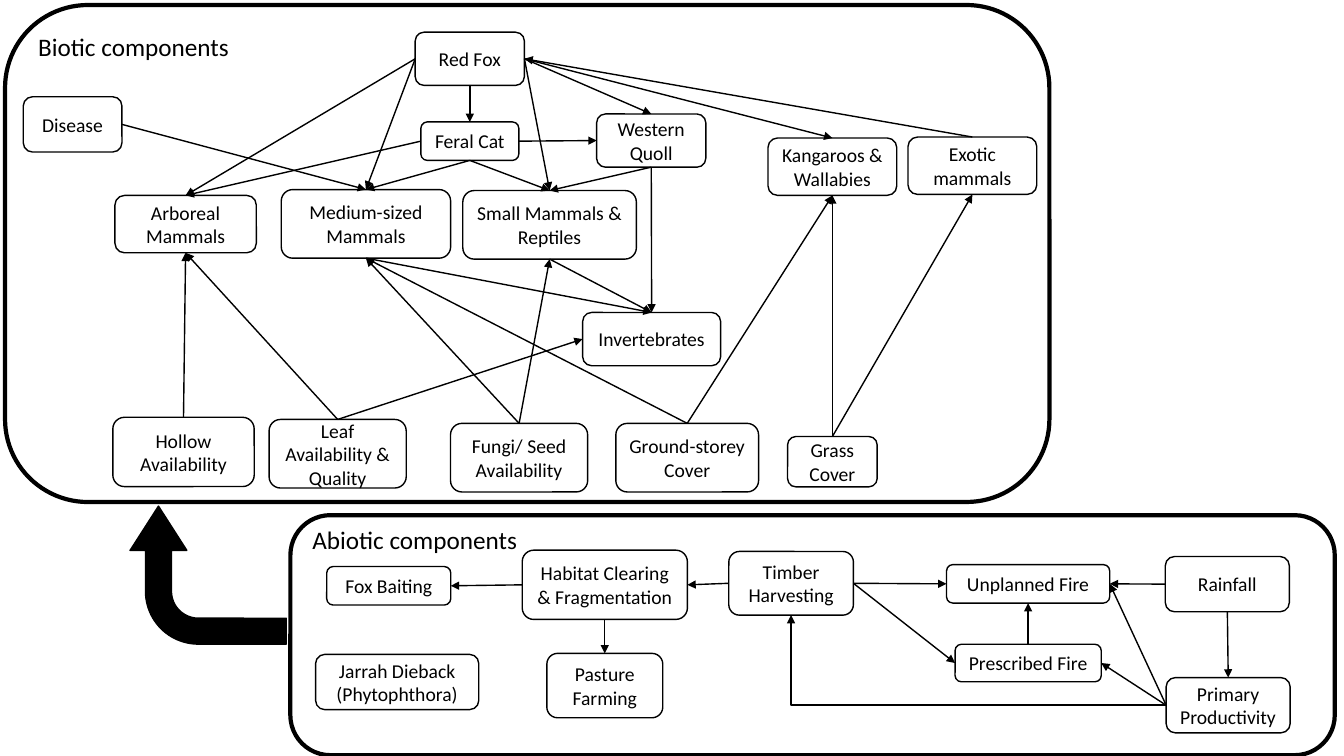
from lxml import etree
from pptx import Presentation
from pptx.dml.color import RGBColor
from pptx.enum import shapes, text
from pptx.oxml import ns
from pptx.util import Pt

BLACK = RGBColor(0, 0, 0)
WHITE = RGBColor(255, 255, 255)
FONT = "Calibri"
TOP, LEFT, BOTTOM, RIGHT = range(4)

BIOTIC_FRAME = (3.6, 3.6, 746, 355)
BIOTIC_TITLE = ("Biotic components", 16.6, 15.1, 157, 29)
# Each box: label, then left, top, width, height inside its frame
BIOTIC_BOXES = [
    ("Red Fox", 293, 19.4, 78, 38),
    ("Kangaroos & Wallabies", 545, 95, 92, 41),
    ("Exotic mammals", 645, 94.3, 92, 41),
    ("Western Quoll", 422.6, 77.8, 78, 38),
    ("Feral Cat", 297, 83.5, 70, 27.5),
    ("Disease", 13, 65.5, 70.5, 39.5),
    ("Arboreal Mammals", 78.5, 136, 101, 41),
    ("Medium-sized Mammals", 197.3, 131.8, 121, 49),
    ("Small Mammals & Reptiles", 327, 132.5, 124, 49),
    ("Invertebrates", 412.6, 219.6, 98.5, 38),
    ("Hollow Availability", 77, 294.5, 101, 49.5),
    ("Leaf Availability & Quality", 188.6, 296, 98, 49),
    ("Fungi/ Seed Availability", 318.2, 298.8, 98, 49),
    ("Ground-storey\nCover", 436.3, 298.8, 102, 49),
    ("Grass\nCover", 559, 308.2, 64, 36),
]
# Each arrow: source, side it leaves, target, side it reaches
BIOTIC_ARROWS = [
    ("Red Fox", BOTTOM, "Feral Cat", TOP),
    ("Red Fox", RIGHT, "Western Quoll", TOP),
    ("Red Fox", RIGHT, "Kangaroos & Wallabies", TOP),
    ("Red Fox", RIGHT, "Small Mammals & Reptiles", TOP),
    ("Red Fox", LEFT, "Medium-sized Mammals", TOP),
    ("Red Fox", LEFT, "Arboreal Mammals", TOP),
    ("Exotic mammals", TOP, "Red Fox", RIGHT),
    ("Feral Cat", RIGHT, "Western Quoll", LEFT),
    ("Feral Cat", BOTTOM, "Medium-sized Mammals", TOP),
    ("Feral Cat", BOTTOM, "Small Mammals & Reptiles", TOP),
    ("Feral Cat", LEFT, "Arboreal Mammals", TOP),
    ("Disease", RIGHT, "Medium-sized Mammals", TOP),
    ("Western Quoll", BOTTOM, "Small Mammals & Reptiles", TOP),
    ("Western Quoll", BOTTOM, "Invertebrates", TOP),
    ("Small Mammals & Reptiles", BOTTOM, "Invertebrates", TOP),
    ("Medium-sized Mammals", BOTTOM, "Invertebrates", TOP),
    ("Hollow Availability", TOP, "Arboreal Mammals", BOTTOM),
    ("Leaf Availability & Quality", TOP, "Arboreal Mammals", BOTTOM),
    ("Leaf Availability & Quality", TOP, "Invertebrates", LEFT),
    ("Fungi/ Seed Availability", TOP, "Medium-sized Mammals", BOTTOM),
    ("Fungi/ Seed Availability", TOP, "Small Mammals & Reptiles", BOTTOM),
    ("Ground-storey Cover", TOP, "Medium-sized Mammals", BOTTOM),
    ("Ground-storey Cover", TOP, "Kangaroos & Wallabies", BOTTOM),
    ("Grass Cover", TOP, "Kangaroos & Wallabies", BOTTOM),
    ("Grass Cover", TOP, "Exotic mammals", BOTTOM),
]

ABIOTIC_FRAME = (207.4, 368, 746, 171.4)
ABIOTIC_TITLE = ("Abiotic components", 8.6, 2.9, 178.6, 29)
ABIOTIC_BOXES = [
    ("Fox Baiting", 26, 36.7, 88.6, 27.5),
    ("Habitat Clearing & Fragmentation", 165.6, 25, 118, 49.5),
    ("Timber Harvesting", 313.2, 25.9, 89, 45.5),
    ("Unplanned Fire", 468.7, 35.3, 116.6, 27.5),
    ("Rainfall", 625, 29.5, 88.6, 39.5),
    ("Jarrah Dieback (Phytophthora)", 18, 99.4, 116.6, 39.5),
    ("Pasture Farming", 183.2, 98.7, 82.8, 46),
    ("Prescribed Fire", 474.8, 92.2, 104.4, 26.8),
    ("Primary Productivity", 625.6, 116, 88.6, 39.5),
]
ABIOTIC_ARROWS = [
    ("Habitat Clearing & Fragmentation", LEFT, "Fox Baiting", RIGHT),
    ("Habitat Clearing & Fragmentation", BOTTOM, "Pasture Farming", TOP),
    ("Timber Harvesting", LEFT, "Habitat Clearing & Fragmentation", RIGHT),
    ("Timber Harvesting", RIGHT, "Unplanned Fire", LEFT),
    ("Timber Harvesting", RIGHT, "Prescribed Fire", LEFT),
    ("Prescribed Fire", TOP, "Unplanned Fire", BOTTOM),
    ("Rainfall", LEFT, "Unplanned Fire", RIGHT),
    ("Rainfall", BOTTOM, "Primary Productivity", TOP),
    ("Primary Productivity", LEFT, "Unplanned Fire", RIGHT),
    ("Primary Productivity", LEFT, "Prescribed Fire", RIGHT),
    ("Primary Productivity", LEFT, "Timber Harvesting", BOTTOM),
]


def write(box, words, size=14, align=text.PP_ALIGN.CENTER,
          anchor=text.MSO_ANCHOR.MIDDLE):
    frame = box.text_frame
    frame.word_wrap = True
    frame.vertical_anchor = anchor
    frame.text = words
    for para in frame.paragraphs:
        para.alignment = align
        for span in para.runs:
            span.font.name = FONT
            span.font.size = Pt(size)
            span.font.color.rgb = BLACK


def add_outlined(page, kind, left, top, width, height, fill=WHITE, weight=1):
    box = page.shapes.add_shape(kind, Pt(left), Pt(top), Pt(width), Pt(height))
    box.shadow.inherit = False
    box.fill.solid()
    box.fill.fore_color.rgb = fill
    box.line.color.rgb = BLACK
    box.line.width = Pt(weight)
    return box


def add_arrow(page, source, source_side, target, target_side):
    """Join two boxes; leaving sideways to a bottom side takes a right angle."""
    bent = source_side == LEFT and target_side == BOTTOM
    kind = shapes.MSO_CONNECTOR.ELBOW if bent else shapes.MSO_CONNECTOR.STRAIGHT
    arrow = page.shapes.add_connector(kind, 0, 0, 0, 0)
    arrow.begin_connect(source, source_side)
    arrow.end_connect(target, target_side)
    arrow.line.color.rgb = BLACK
    arrow.line.width = Pt(1)
    properties = arrow.element.spPr
    if bent:
        properties.find(ns.qn("a:prstGeom")).set("prst", "bentConnector2")
    line = properties.find(ns.qn("a:ln"))
    etree.SubElement(line, ns.qn("a:tailEnd"), type="triangle")
    etree.SubElement(properties, ns.qn("a:effectLst"))


def add_region(page, frame, title, boxes, arrows):
    """Draw a rounded frame with its title, labelled boxes and arrows."""
    rounded = shapes.MSO_SHAPE.ROUNDED_RECTANGLE
    left, top = frame[:2]
    add_outlined(page, rounded, *frame, weight=3)

    words, x, y, width, height = title
    heading = page.shapes.add_textbox(
        Pt(left + x), Pt(top + y), Pt(width), Pt(height))
    write(heading, words, size=18, align=text.PP_ALIGN.LEFT,
          anchor=text.MSO_ANCHOR.TOP)

    placed = {}
    for label, x, y, width, height in boxes:
        box = add_outlined(page, rounded, left + x, top + y, width, height)
        write(box, label)
        placed[label.replace("\n", " ")] = box
    for source, source_side, target, target_side in arrows:
        add_arrow(page, placed[source], source_side, placed[target], target_side)


def add_influence_arrow(page, left, top, width, height):
    """Draw the thick arrow that leads from the abiotic to the biotic frame."""
    arrow = add_outlined(page, shapes.MSO_SHAPE.BENT_ARROW,
                         left, top, width, height, fill=BLACK)
    arrow.rotation = 270
    for index, value in enumerate((0.188, 0.206, 0.321, 0.383)):
        arrow.adjustments[index] = value


def main():
    deck = Presentation()
    deck.slide_width, deck.slide_height = Pt(960), Pt(540)
    page = deck.slides.add_slide(deck.slide_layouts[6])
    add_region(page, ABIOTIC_FRAME, ABIOTIC_TITLE, ABIOTIC_BOXES, ABIOTIC_ARROWS)
    add_region(page, BIOTIC_FRAME, BIOTIC_TITLE, BIOTIC_BOXES, BIOTIC_ARROWS)
    add_influence_arrow(page, 99.4, 355, 98.6, 111.6)
    deck.save("out.pptx")


if __name__ == "__main__":
    main()
